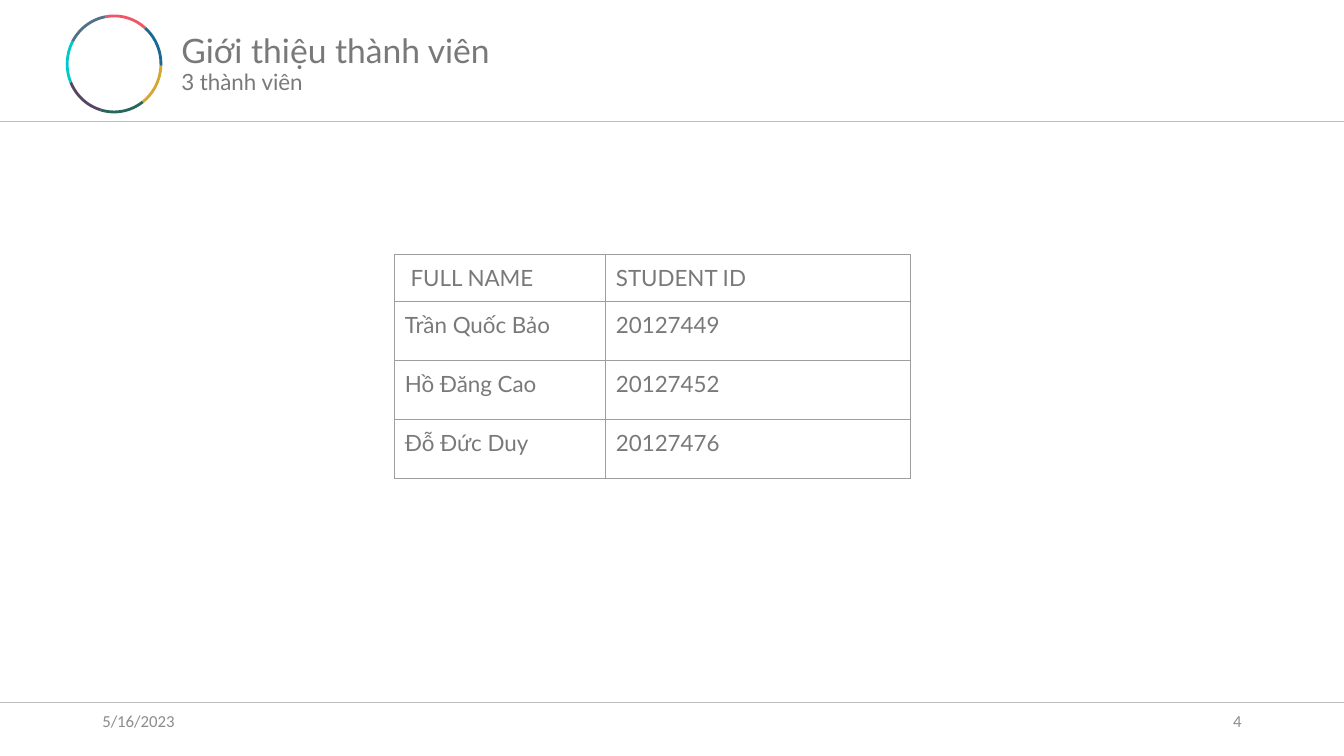
from itertools import pairwise

from lxml.etree import SubElement as Sub
from pptx import Presentation
from pptx.dml.color import RGBColor as RGB
from pptx.enum.shapes import MSO_CONNECTOR as Conn, MSO_SHAPE as Shape
from pptx.enum.text import MSO_ANCHOR as Anchor, PP_ALIGN as Align
from pptx.oxml.ns import qn
from pptx.util import Pt

WIDE, HIGH = 960, 540
INK = RGB(0x79, 0x79, 0x79)
FAINT = RGB(0x8C, 0x8C, 0x8C)
RULE = RGB(0xBF, 0xBF, 0xBF)
GRID = RGB(0x9E, 0x9E, 0x9E)
RING = [
    RGB(0xD6, 0xA6, 0x33), RGB(0x29, 0x67, 0x5C), RGB(0x57, 0x45, 0x63),
    RGB(0x01, 0xC9, 0xCB), RGB(0x54, 0x72, 0x87), RGB(0xF0, 0x55, 0x68),
    RGB(0x1A, 0x68, 0x93),
]
TURNS = [2, 53, 106.4, 157, 208.8, 259.2, 310.8, 2]
ROWS = [
    ("\u00a0FULL NAME".replace("\u00a0", " "), "STUDENT ID"),
    ("Trần Quốc Bảo", "20127449"),
    ("Hồ Đăng Cao", "20127452"),
    ("Đỗ Đức Duy", "20127476"),
]


def write(frame, text, size, font="Lato", tint=INK, align=Align.LEFT):
    para = frame.paragraphs[0]
    para.alignment = align
    run = para.add_run()
    run.text = text
    run.font.size = Pt(size)
    run.font.name = font
    run.font.bold = False
    run.font.color.rgb = tint


def add_text(slide, box, text, size, anchor=Anchor.TOP, **style):
    frame = slide.shapes.add_textbox(*map(Pt, box)).text_frame
    frame.word_wrap = True
    frame.vertical_anchor = anchor
    write(frame, text, size, **style)


def add_rule(slide, y):
    line = slide.shapes.add_connector(Conn.STRAIGHT, 0, Pt(y), Pt(WIDE), Pt(y))
    line.line.color.rgb = RULE
    line.line.width = Pt(0.5)
    Sub(line._element.spPr, qn("a:effectLst"))


def add_ring(slide, box):
    """Draw a circle of coloured arcs, clockwise from the right."""
    group = slide.shapes.add_group_shape()
    for tint, (start, end) in zip(RING, pairwise(TURNS)):
        arc = group.shapes.add_shape(Shape.ARC, *map(Pt, box))
        # An adjustment of 1 equals 100000 units; a degree has 60000.
        arc.adjustments[0] = start * 0.6
        arc.adjustments[1] = end * 0.6
        arc.shadow.inherit = False
        arc.fill.background()
        arc.line.color.rgb = tint
        arc.line.width = Pt(2)


def add_head(slide, box):
    x, y, wide, high = box
    add_ring(slide, (x + 48, y + 11.4, 67, 68.6))
    title = slide.shapes.title
    title.left, title.top = Pt(x + 122.4), Pt(y + 18)
    title.width, title.height = Pt(358), Pt(36)
    title.text_frame.vertical_anchor = Anchor.TOP
    write(title.text_frame, "Giới thiệu thành viên", 24)
    add_text(slide, (x + 122.4, y + 45.4, 173, 26.6), "3 thành viên", 16)
    add_rule(slide, y + high)


def add_edges(cell):
    props = cell._tc.get_or_add_tcPr()
    for side in ("a:lnL", "a:lnR", "a:lnT", "a:lnB"):
        edge = Sub(props, qn(side), w=str(Pt(0.75)))
        fill = Sub(edge, qn("a:solidFill"))
        Sub(fill, qn("a:srgbClr"), val=str(GRID))


def add_names(slide, box):
    table = slide.shapes.add_table(len(ROWS), 2, *map(Pt, box)).table
    table.first_row = table.horz_banding = False
    for col, wide in zip(table.columns, (150.8, box[2] - 150.8)):
        col.width = Pt(wide)
    for row, high in zip(table.rows, (34, 42, 42, 42)):
        row.height = Pt(high)
    for row, texts in zip(table.rows, ROWS):
        for cell, text in zip(row.cells, texts):
            cell.margin_left = cell.margin_right = Pt(7.2)
            cell.margin_top = cell.margin_bottom = Pt(7.2)
            write(cell.text_frame, text, 16)
            add_edges(cell)
            cell.fill.background()


def add_foot(slide, box):
    x, y, wide, high = box
    style = dict(anchor=Anchor.MIDDLE, font="Calibri", tint=FAINT)
    add_rule(slide, y)
    add_text(slide, (x + 66, y - 1, 216, 28.8), "5/16/2023", 12, **style)
    add_text(slide, (x + wide - 282, y - 1, 216, 28.8), "4", 12,
             align=Align.RIGHT, **style)


def main():
    deck = Presentation()
    deck.slide_width, deck.slide_height = Pt(WIDE), Pt(HIGH)
    slide = deck.slides.add_slide(deck.slide_layouts[5])
    add_head(slide, (0, 0, WIDE, 87))
    add_names(slide, (282, 181.6, 368.6, 160))
    add_foot(slide, (0, 501.6, WIDE, HIGH - 501.6))
    deck.save("out.pptx")


if __name__ == "__main__":
    main()
